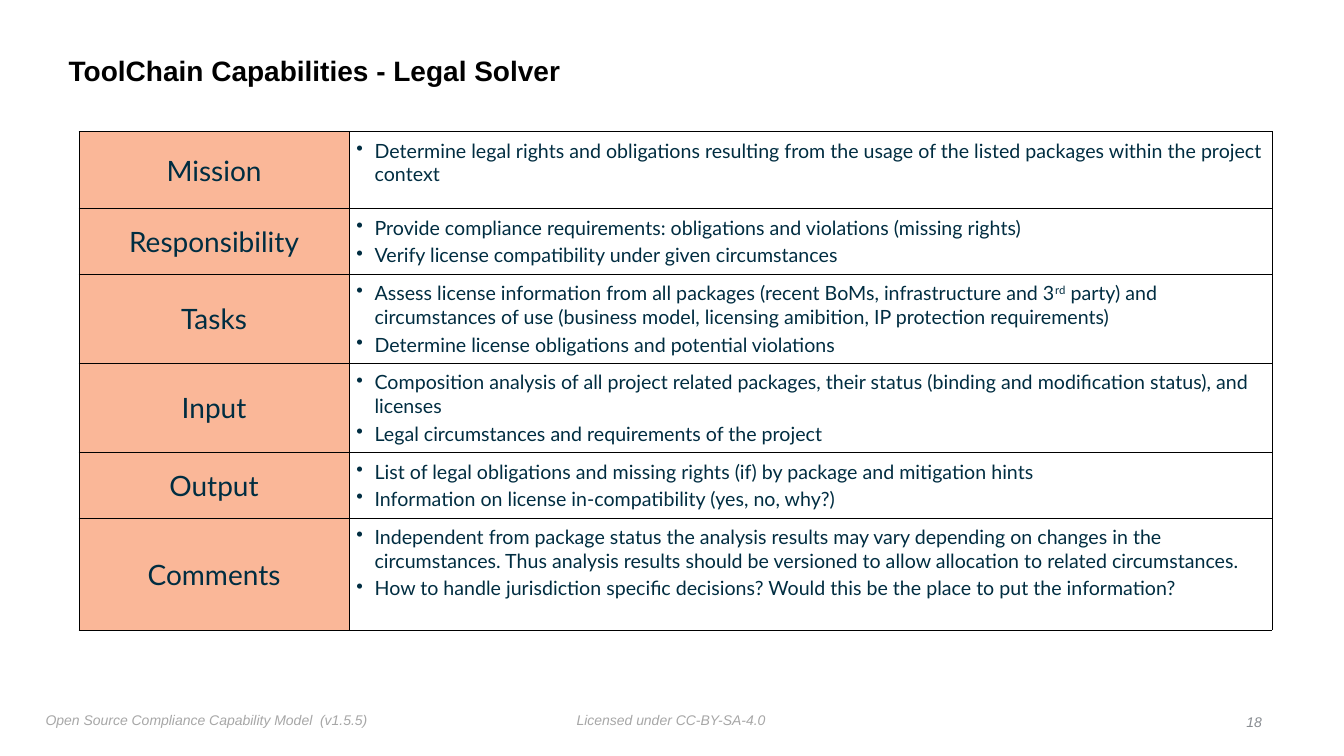
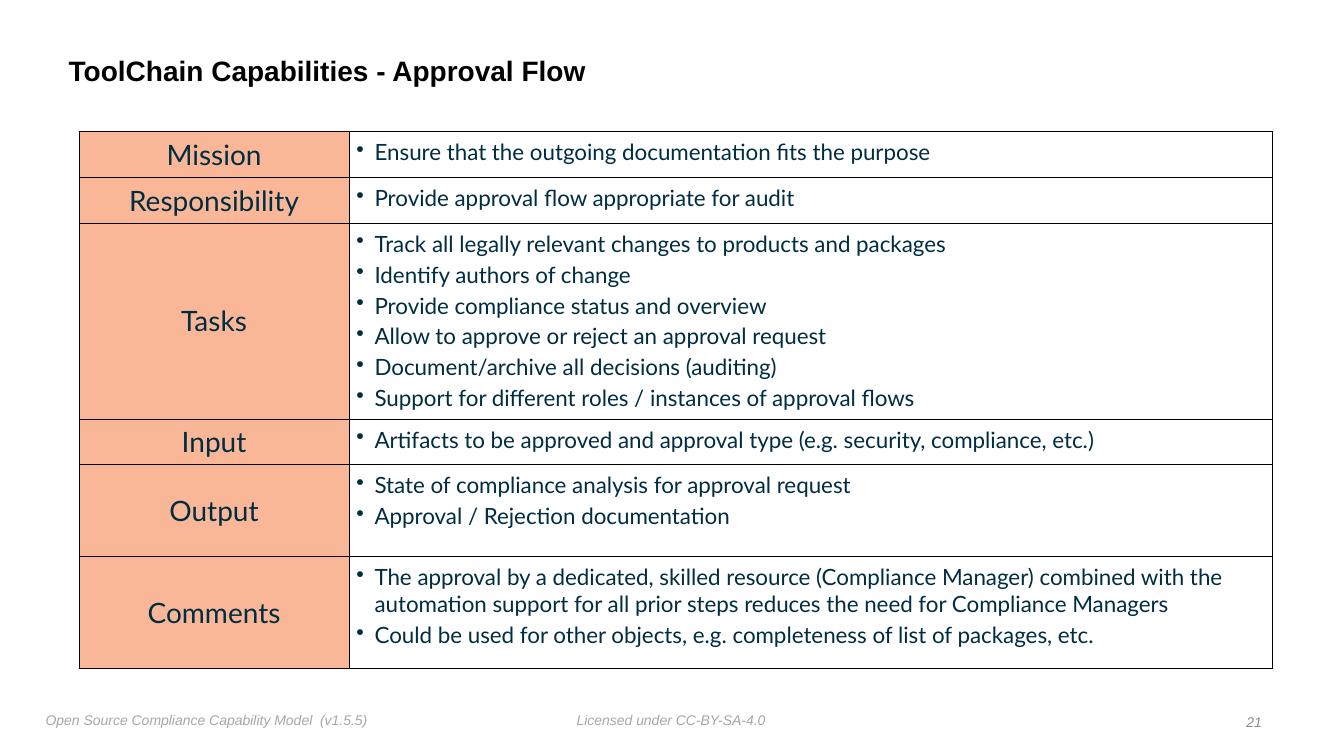
from dataclasses import dataclass

from pptx import Presentation
from pptx.dml.color import RGBColor
from pptx.enum import text as t
from pptx.oxml import parse_xml
from pptx.oxml.ns import nsdecls
from pptx.util import Cm, Length, Pt


@dataclass(frozen=True)
class Theme:
    heading_font: str = "Arial"
    table_font: str = "Lato"
    title: str = "000000"
    table_text: str = "002D41"
    label_fill: str = "FAB798"
    border: str = "000000"
    footer: str = "A7A7A7"
    page_number: str = "888C91"
    title_size: int = 20
    label_size: int = 20
    footer_size: int = 10
    border_width: float = 0.5
    bullet_gap: int = 3


@dataclass(frozen=True)
class Row:
    label: str
    height: float  # centimetres
    bullets: tuple[str, ...]


@dataclass(frozen=True)
class Capability:
    name: str
    number: int
    body_size: int
    rows: tuple[Row, ...]


@dataclass(frozen=True)
class Footer:
    text: str
    left: float
    top: float
    width: float
    color: str
    align: t.PP_ALIGN = t.PP_ALIGN.LEFT


THEME = Theme()
INSET = Cm(0.13)
CELL_INSET = Cm(0.18)
BULLET_INDENT = Cm(0.46)
TABLE_LEFT, TABLE_TOP = Cm(1.99), Cm(3.32)
COLUMN_WIDTHS = (Cm(6.81), Cm(23.26))

CAPABILITIES = (
    Capability("Legal Solver", 18, 14, (
        Row("Mission", 1.94, (
            "Determine legal rights and obligations resulting from the usage of "
            "the listed packages within the project context",
        )),
        Row("Responsibility", 1.65, (
            "Provide compliance requirements: obligations and violations (missing rights)",
            "Verify license compatibility under given circumstances",
        )),
        Row("Tasks", 2.24, (
            "Assess license information from all packages (recent BoMs, infrastructure "
            "and 3^rd^ party) and circumstances of use (business model, licensing "
            "amibition, IP protection requirements)",
            "Determine license obligations and potential violations",
        )),
        Row("Input", 2.24, (
            "Composition analysis of all project related packages, their status "
            "(binding and modification status), and licenses",
            "Legal circumstances and requirements of the project",
        )),
        Row("Output", 1.65, (
            "List of legal obligations and missing rights (if) by package and mitigation hints",
            "Information on license in-compatibility (yes, no, why?)",
        )),
        Row("Comments", 2.82, (
            "Independent from package status the analysis results may vary depending on "
            "changes in the circumstances. Thus analysis results should be versioned to "
            "allow allocation to related circumstances.",
            "How to handle jurisdiction specific decisions? Would this be the place to "
            "put the information?",
        )),
    )),
    Capability("Approval Flow", 21, 16, (
        Row("Mission", 1.15, ("Ensure that the outgoing documentation fits the purpose",)),
        Row("Responsibility", 1.15, ("Provide approval flow appropriate for audit",)),
        Row("Tasks", 4.94, (
            "Track all legally relevant changes to products and packages",
            "Identify authors of change",
            "Provide compliance status and overview",
            "Allow to approve or reject an approval request",
            "Document/archive all decisions (auditing)",
            "Support for different roles / instances of approval flows",
        )),
        Row("Input", 1.15, (
            "Artifacts to be approved and approval type (e.g. security, compliance, etc.)",
        )),
        Row("Output", 2.32, (
            "State of compliance analysis for approval request",
            "Approval / Rejection documentation",
        )),
        Row("Comments", 2.82, (
            "The approval by a dedicated, skilled resource (Compliance Manager) combined "
            "with the automation support for all prior steps reduces the need for "
            "Compliance Managers",
            "Could be used for other objects, e.g. completeness of list of packages, etc.",
        )),
    )),
)


def write(para, text: str, *, size: float, color: str, font: str,
          bold: bool = False, italic: bool = False) -> None:
    """Add text to a paragraph; parts between ^ marks are superscript."""
    for index, part in enumerate(text.split("^")):
        span = para.add_run()
        span.text = part
        span.font.size = Pt(size)
        span.font.name = font
        span.font.bold = bold
        span.font.italic = italic
        span.font.color.rgb = RGBColor.from_string(color)
        if index % 2:
            span.font._element.set("baseline", "30000")


def set_insets(target, inset: Length) -> None:
    target.margin_left = target.margin_right = inset
    target.margin_top = target.margin_bottom = inset


def add_bullet(para) -> None:
    properties = para._p.get_or_add_pPr()
    properties.set("marL", str(BULLET_INDENT))
    properties.set("indent", str(-BULLET_INDENT))
    properties.append(parse_xml(f'<a:buChar {nsdecls("a")} char="•"/>'))


def add_borders(cell) -> None:
    """Outline a cell; its lines must come before its fill in the XML."""
    properties = cell._tc.get_or_add_tcPr()
    for index, side in enumerate("LRTB"):
        properties.insert(index, parse_xml(
            f'<a:ln{side} {nsdecls("a")} w="{Pt(THEME.border_width)}"><a:solidFill>'
            f'<a:srgbClr val="{THEME.border}"/></a:solidFill></a:ln{side}>'))


def fill_label(cell, label: str) -> None:
    set_insets(cell, Cm(0))
    cell.vertical_anchor = t.MSO_ANCHOR.MIDDLE
    cell.fill.solid()
    cell.fill.fore_color.rgb = RGBColor.from_string(THEME.label_fill)
    para = cell.text_frame.paragraphs[0]
    para.alignment = t.PP_ALIGN.CENTER
    write(para, label, size=THEME.label_size, color=THEME.table_text, font=THEME.table_font)


def fill_bullets(cell, bullets: tuple[str, ...], size: int) -> None:
    set_insets(cell, CELL_INSET)
    cell.fill.background()
    frame = cell.text_frame
    for index, bullet in enumerate(bullets):
        para = frame.add_paragraph() if index else frame.paragraphs[0]
        add_bullet(para)
        if index:
            para.space_before = Pt(THEME.bullet_gap)
        write(para, bullet, size=size, color=THEME.table_text, font=THEME.table_font)


def add_capability_table(page, capability: Capability) -> None:
    rows = capability.rows
    height = Cm(sum(row.height for row in rows))
    table = page.shapes.add_table(len(rows), len(COLUMN_WIDTHS), TABLE_LEFT, TABLE_TOP,
                                  sum(COLUMN_WIDTHS), height).table
    table.first_row = table.horz_banding = False
    for column, width in zip(table.columns, COLUMN_WIDTHS):
        column.width = width
    for index, row in enumerate(rows):
        table.rows[index].height = Cm(row.height)
        fill_label(table.cell(index, 0), row.label)
        fill_bullets(table.cell(index, 1), row.bullets, capability.body_size)
    for cell in table.iter_cells():
        add_borders(cell)


def set_title(page, text: str) -> None:
    title = page.shapes.title
    title.left, title.top, title.width, title.height = Cm(1.6), Cm(1), Cm(27.3), Cm(1.65)
    frame = title.text_frame
    set_insets(frame, INSET)
    frame.vertical_anchor = t.MSO_ANCHOR.MIDDLE
    frame.auto_size = t.MSO_AUTO_SIZE.NONE
    para = frame.paragraphs[0]
    para.alignment = t.PP_ALIGN.LEFT
    para.line_spacing = 0.9
    write(para, text, size=THEME.title_size, color=THEME.title,
          font=THEME.heading_font, bold=True)


def add_footer(page, footer: Footer) -> None:
    box = page.shapes.add_textbox(Cm(footer.left), Cm(footer.top), Cm(footer.width), Cm(0.64))
    frame = box.text_frame
    set_insets(frame, INSET)
    frame.word_wrap = False
    frame.auto_size = t.MSO_AUTO_SIZE.SHAPE_TO_FIT_TEXT
    para = frame.paragraphs[0]
    para.alignment = footer.align
    write(para, footer.text, size=THEME.footer_size, color=footer.color,
          font=THEME.heading_font, italic=True)


def add_page(deck, capability: Capability) -> None:
    page = deck.slides.add_slide(deck.slide_layouts.get_by_name("Title Only"))
    set_title(page, f"ToolChain Capabilities - {capability.name}")
    add_capability_table(page, capability)
    footers = (
        Footer("Open Source Compliance Capability Model  (v1.5.5)", 1.02, 17.8, 8.43,
               THEME.footer),
        Footer("Licensed under CC-BY-SA-4.0", 14.4, 17.8, 5.05, THEME.footer),
        Footer(str(capability.number), 31.24, 17.85, 0.69, THEME.page_number,
               t.PP_ALIGN.RIGHT),
    )
    for footer in footers:
        add_footer(page, footer)


def main() -> None:
    deck = Presentation()
    deck.slide_width, deck.slide_height = Cm(33.87), Cm(19.05)
    for capability in CAPABILITIES:
        add_page(deck, capability)
    deck.save("out.pptx")


if __name__ == "__main__":
    main()
